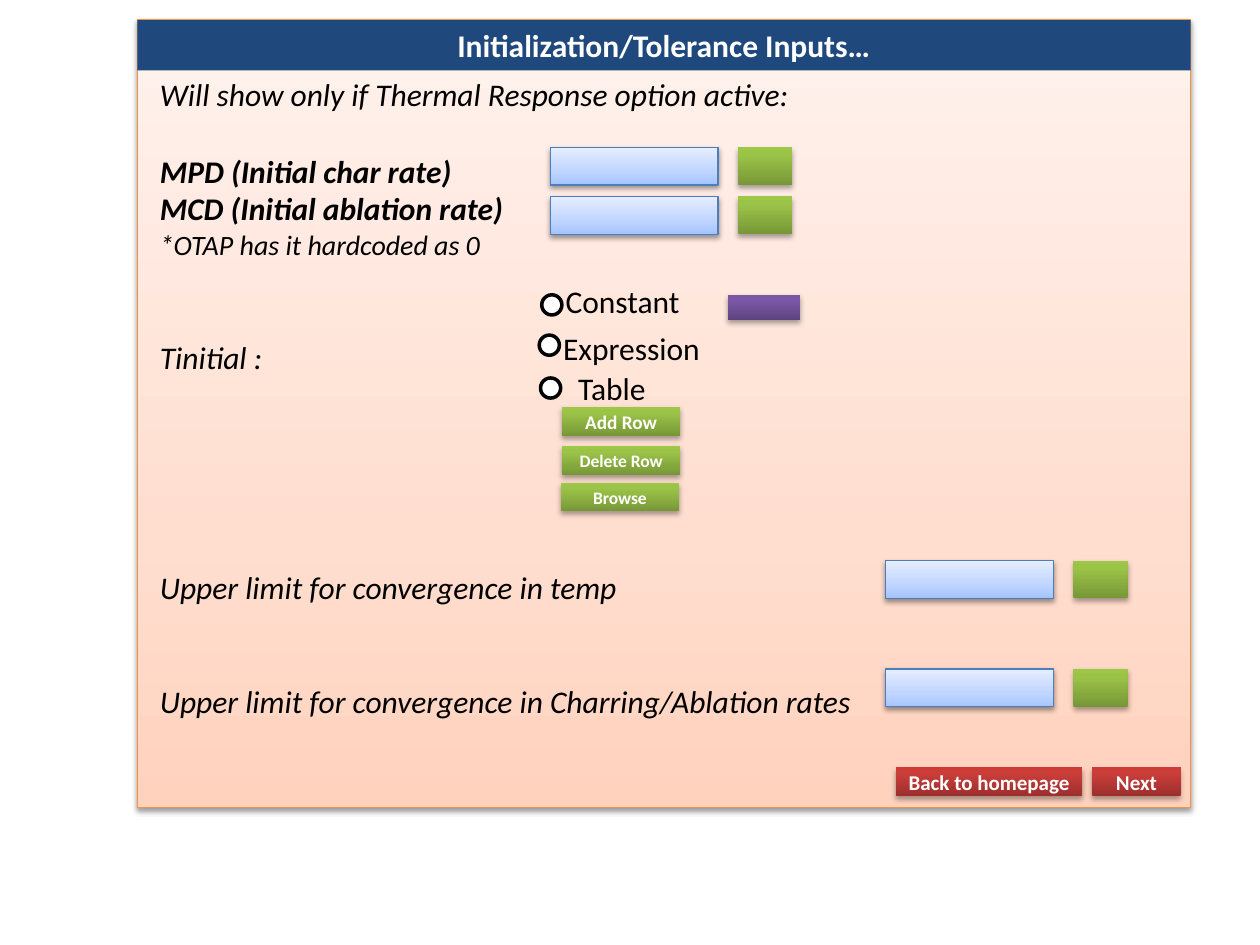
from lxml import etree
from pptx import Presentation
from pptx.dml.color import RGBColor
from pptx.enum.shapes import MSO_SHAPE
from pptx.enum.text import MSO_ANCHOR, PP_ALIGN
from pptx.oxml.ns import qn
from pptx.util import Inches, Pt

RECT, OVAL = MSO_SHAPE.RECTANGLE, MSO_SHAPE.OVAL
CENTER, MIDDLE = PP_ALIGN.CENTER, MSO_ANCHOR.MIDDLE
WHITE = RGBColor(0xFF, 0xFF, 0xFF)
BLACK = RGBColor(0, 0, 0)
NAVY = RGBColor(0x1F, 0x49, 0x7D)
ORANGE = RGBColor(0xF6, 0x92, 0x40)
BLUE = RGBColor(0x4B, 0x7E, 0xBC)

PEACH_STOPS = [(0, "FFD2BD"), (35, "FFDED0"), (100, "FFF2ED")]
FIELD_STOPS = [(0, "A4C4FF"), (35, "BFD4FF"), (100, "E6EEFF")]
GREEN_STOPS = [(0, "779737"), (80, "9BC348"), (100, "9DC746")]
PURPLE_STOPS = [(0, "5F4480"), (80, "7B58A6"), (100, "7C57A8")]
RED_STOPS = [(0, "9C2F2D"), (80, "CB3E3A"), (100, "CE3B37")]

FONT = "Calibri"
LINE_HEIGHT = 21.97
TITLE = "Initialization/Tolerance Inputs…"
# text, size, bold, lines of space before
LABELS = [
    ("Will show only if Thermal Response option active:", 18, False, 0),
    ("MPD (Initial char rate)", 18, True, 1),
    ("MCD (Initial ablation rate)", 18, True, 0),
    ("*OTAP has it hardcoded as 0", 16, False, 0),
    ("Tinitial :", 18, False, 2),
    ("Upper limit for convergence in temp", 18, False, 5),
    ("Upper limit for convergence in Charring/Ablation rates", 18, False, 2),
]
FIELDS = [(4.37, 1.17), (4.37, 1.56), (7.03, 4.45), (7.03, 5.31)]
UNIT_OFFSET = 1.49
# text, text position, circle position
OPTIONS = [
    ("Constant", (4.39, 2.19), (4.3, 2.34)),
    ("Expression", (4.37, 2.56), (4.28, 2.66)),
    ("Table", (4.49, 2.88), (4.29, 3)),
]
# text, left, top, width, size, stops
BUTTONS = [
    ("Add Row", 4.46, 3.23, 0.94, 11, GREEN_STOPS),
    ("Delete Row", 4.46, 3.54, 0.94, 10, GREEN_STOPS),
    ("Browse", 4.45, 3.83, 0.94, 10, GREEN_STOPS),
    ("Back to homepage", 7.11, 6.09, 1.48, 12, RED_STOPS),
    ("Next", 8.67, 6.09, 0.7, 12, RED_STOPS),
]

prs = Presentation()
prs.slide_width, prs.slide_height = Inches(10), Inches(7.5)
slide = prs.slides.add_slide(prs.slide_layouts[6])


def write(paragraph, text, size, color, bold=False, italic=False):
    paragraph.text = text
    font = paragraph.font
    font.name, font.size, font.bold, font.italic = FONT, Pt(size), bold, italic
    font.color.rgb = color


def add_shape(kind, left, top, width, height, line=None, line_width=0.75):
    shape = slide.shapes.add_shape(
        kind, Inches(left), Inches(top), Inches(width), Inches(height))
    shape.shadow.inherit = False
    if line is None:
        shape.line.fill.background()
    else:
        shape.line.color.rgb = line
        shape.line.width = Pt(line_width)
    return shape


def add_raised(left, top, width, height, stops, line=None):
    shape = add_shape(RECT, left, top, width, height, line)
    shape.fill.gradient()
    shape.fill.gradient_angle = 90
    properties = shape._element.spPr
    stop_list = properties.find(qn("a:gradFill")).find(qn("a:gsLst"))
    for stop in list(stop_list):
        stop_list.remove(stop)
    for position, color in stops:
        stop = etree.SubElement(stop_list, qn("a:gs"), pos=str(position * 1000))
        etree.SubElement(stop, qn("a:srgbClr"), val=color)
    distance, opacity = (1.6, 38) if line is not None else (1.8, 35)
    shadow = etree.SubElement(
        properties.find(qn("a:effectLst")), qn("a:outerShdw"),
        blurRad=str(Pt(3.1)), dist=str(Pt(distance)), dir="5400000", rotWithShape="0")
    shade = etree.SubElement(shadow, qn("a:srgbClr"), val="000000")
    etree.SubElement(shade, qn("a:alpha"), val=str(opacity * 1000))
    return shape


def add_text(left, top, width, height):
    frame = slide.shapes.add_textbox(
        Inches(left), Inches(top), Inches(width), Inches(height)).text_frame
    frame.word_wrap = True
    return frame


def center_text(shape, text, size):
    frame = shape.text_frame
    frame.word_wrap = True
    frame.vertical_anchor = MIDDLE
    write(frame.paragraphs[0], text, size, WHITE, bold=True)
    frame.paragraphs[0].alignment = CENTER


add_raised(1.09, 0.16, 8.36, 6.25, PEACH_STOPS, ORANGE)
header = add_shape(RECT, 1.09, 0.16, 8.36, 0.4)
header.fill.solid()
header.fill.fore_color.rgb = NAVY
center_text(header, TITLE, 18)

labels = add_text(1.17, 0.55, 7.42, 6.43)
for index, (text, size, bold, gap) in enumerate(LABELS):
    label = labels.add_paragraph() if index else labels.paragraphs[0]
    write(label, text, size, BLACK, bold, italic=True)
    if gap:
        label.space_before = Pt(gap * LINE_HEIGHT)

for left, top in FIELDS:
    add_raised(left, top, 1.33, 0.3, FIELD_STOPS, BLUE)
    add_raised(left + UNIT_OFFSET, top, 0.43, 0.3, GREEN_STOPS)

for text, text_at, circle_at in OPTIONS:
    circle = add_shape(OVAL, *circle_at, 0.16, 0.16, BLACK, 2)
    circle.fill.solid()
    circle.fill.fore_color.rgb = WHITE
    write(add_text(*text_at, 1.39, 0.4).paragraphs[0], text, 18, BLACK)

add_raised(5.78, 2.34, 0.57, 0.2, PURPLE_STOPS)
for text, left, top, width, size, stops in BUTTONS:
    center_text(add_raised(left, top, width, 0.23, stops), text, size)

prs.save("out.pptx")
